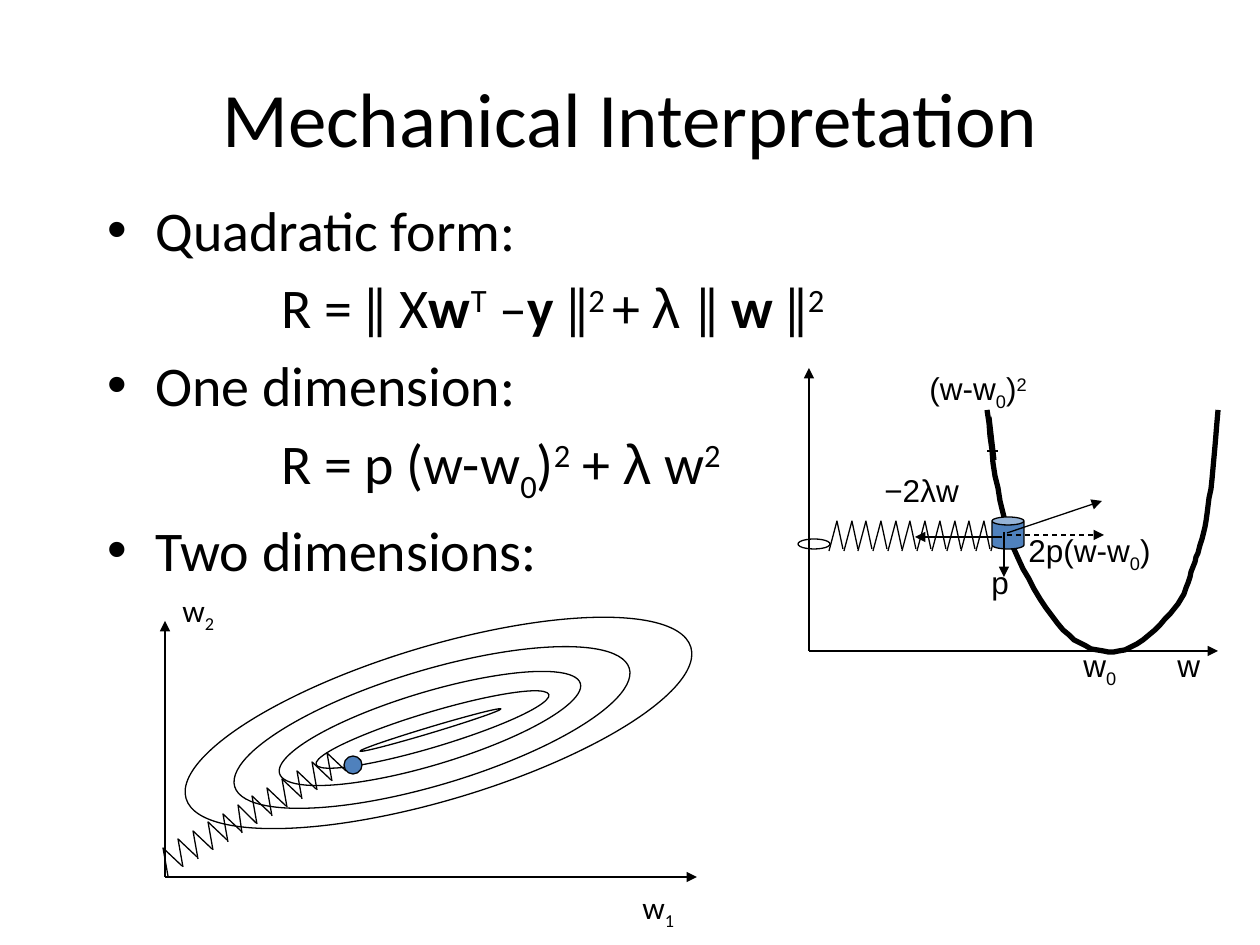
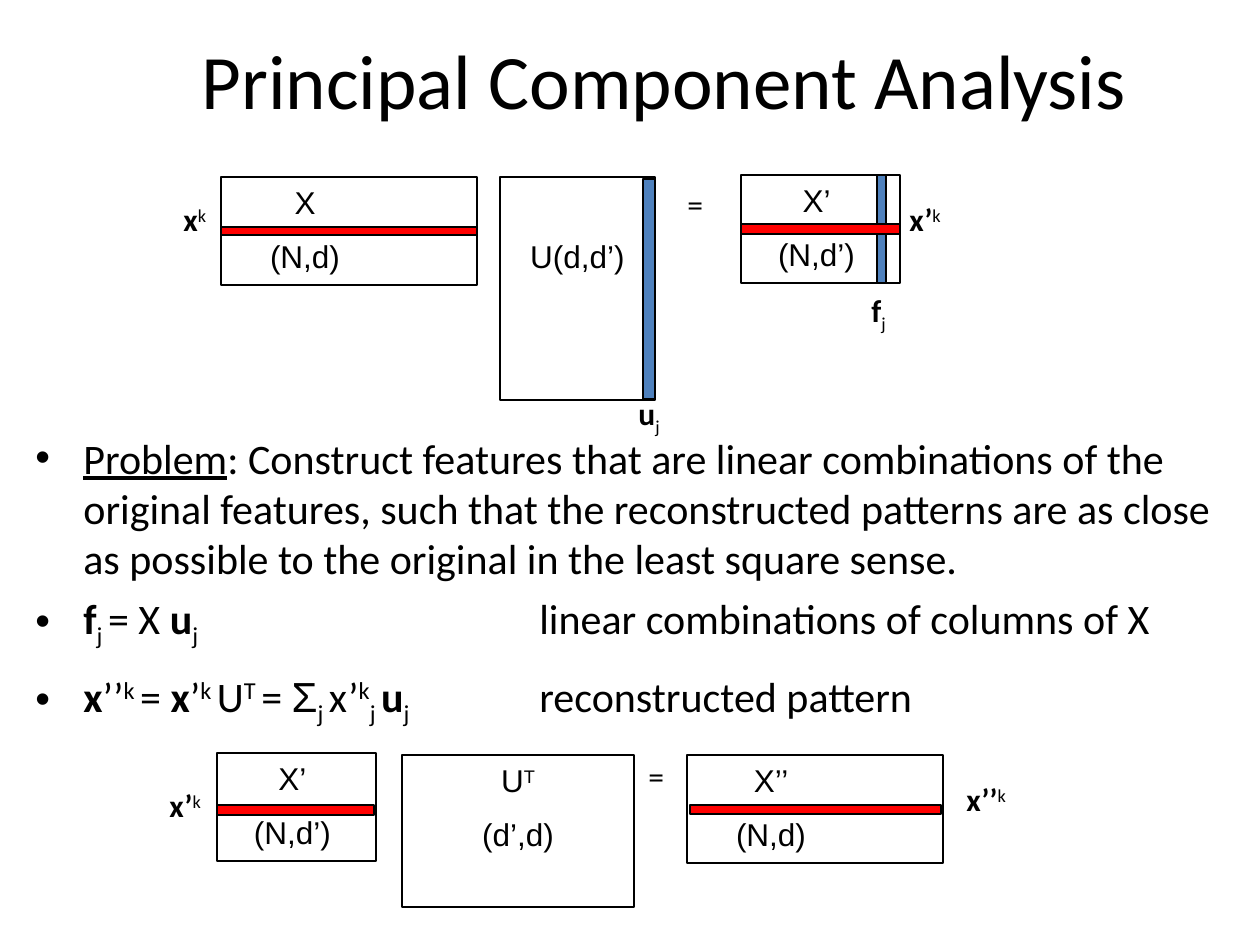
from lxml.etree import SubElement as Sub
from pptx import Presentation
from pptx.dml.color import RGBColor
from pptx.enum.dml import MSO_LINE as Dash
from pptx.enum.shapes import MSO_CONNECTOR as Link, MSO_SHAPE as Kind
from pptx.enum.text import MSO_ANCHOR as Anchor, PP_ALIGN as Align
from pptx.oxml.ns import qn
from pptx.util import Emu, Pt

SCALE = 914400 / 126
BLACK = RGBColor(0x00, 0x00, 0x00)
BLUE = RGBColor(0x4F, 0x81, 0xBD)
RED = RGBColor(0xFF, 0x00, 0x00)
SANS = "Arial"
MAIN = "Calibri"
HANG = 48
TILT = 343.3


def px(num):
    return Emu(round(num * SCALE))


def place(area):
    return [px(num) for num in area]


def write(para, text, face, size):
    for part in text.split("|"):
        mark = part[0] if part[0] in "*_^~@" else ""
        run = para.add_run()
        run.text = part[len(mark):]
        font = run.font
        font.name = SANS if mark == "@" else face
        font.size = Pt(size)
        font.color.rgb = BLACK
        font.bold = mark == "*"
        if mark == "~":
            font.underline = True
        if mark in ("_", "^"):
            font._element.set("baseline", "-25000" if mark == "_" else "30000")


def add_box(slide, area):
    frame = slide.shapes.add_textbox(*place(area)).text_frame
    frame.word_wrap = True
    return frame


def add_label(slide, area, text, face=MAIN):
    write(add_box(slide, area).paragraphs[0], text, face, 18)


def add_title(slide, area, text):
    frame = add_box(slide, area)
    frame.vertical_anchor = Anchor.MIDDLE
    para = frame.paragraphs[0]
    para.alignment = Align.CENTER
    write(para, text, MAIN, 44)


def add_body(slide, area, lines, size):
    frame = add_box(slide, area)
    for spot, (text, indent, gap) in enumerate(lines):
        para = frame.add_paragraph() if spot else frame.paragraphs[0]
        write(para, text, MAIN, size)
        if spot:
            para.space_before = Pt(gap)
        props = para._p.get_or_add_pPr()
        props.set("marL", str(px(indent or HANG)))
        if indent:
            continue
        props.set("indent", str(-px(HANG)))
        Sub(props, qn("a:buFont")).set("typeface", SANS)
        Sub(props, qn("a:buChar")).set("char", "•")
        if "\t" in text:
            tab = Sub(Sub(props, qn("a:tabLst")), qn("a:tab"))
            tab.set("pos", str(px(504)))
            tab.set("algn", "l")


def style(shape, fill=None, width=0.75):
    shape.shadow.inherit = False
    if fill is None:
        shape.fill.background()
    else:
        shape.fill.solid()
        shape.fill.fore_color.rgb = fill
    shape.line.color.rgb = BLACK
    shape.line.width = Pt(width)


def add_form(slide, kind, area, fill=None, turn=0):
    shape = slide.shapes.add_shape(kind, *place(area))
    style(shape, fill)
    shape.rotation = turn
    return shape


def add_block(slide, area, lines, shift=0, top=6):
    frame = add_form(slide, Kind.RECTANGLE, area).text_frame
    frame.word_wrap = True
    frame.vertical_anchor = Anchor.TOP
    frame.margin_top = px(top)
    for spot, text in enumerate(lines):
        para = frame.add_paragraph() if spot else frame.paragraphs[0]
        para.alignment = Align.CENTER
        write(para, text, SANS, 18)
        if spot:
            para.space_before = Pt(9)
        elif shift:
            para._p.get_or_add_pPr().set("marR", str(px(shift)))


def add_line(slide, ends, arrow=True, width=0.75, dash=None):
    line = slide.shapes.add_connector(Link.STRAIGHT, *place(ends))
    line.line.color.rgb = BLACK
    line.line.width = Pt(width)
    if dash:
        line.line.dash_style = dash
    props = line.element.spPr
    if arrow:
        Sub(props.find(qn("a:ln")), qn("a:tailEnd")).set("type", "triangle")
    Sub(props, qn("a:effectLst"))


def add_trace(slide, points, width=0.75):
    pen = slide.shapes.build_freeform(*points[0], scale=SCALE)
    pen.add_line_segments(points[1:], close=False)
    style(pen.convert_to_shape(), width=width)


def add_spring(slide, start, step, tooth):
    for turn in range(12):
        left, top = (a + turn * b for a, b in zip(start, step))
        add_trace(slide, [(left + x, top + y) for x, y in tooth])


def curve(points, count=10):
    out = [points[0]]
    for spot in range(0, len(points) - 1, 3):
        nodes = points[spot:spot + 4]
        for tick in range(1, count + 1):
            t = tick / count
            s = 1 - t
            parts = (s ** 3, 3 * s * s * t, 3 * s * t * t, t ** 3)
            out.append(tuple(sum(w * node[axis] for w, node in zip(parts, nodes))
                             for axis in (0, 1)))
    return out


def draw_rings(slide):
    add_line(slide, (165, 877, 165, 621))
    add_label(slide, (630, 882, 110, 63), "w|_1")
    add_label(slide, (170, 585, 78, 63), "w|_2")
    add_line(slide, (165, 877, 697, 877))
    for ring in ((175, 646, 527, 154), (226, 670, 412, 115), (273, 692, 314, 73),
                 (311, 712, 243, 35), (357, 727, 147, 6)):
        add_form(slide, Kind.OVAL, ring, turn=TILT)
    add_form(slide, Kind.OVAL, (344, 756, 18, 18), BLUE)
    add_spring(slide, (168, 876), (14.9, -8.6), ((0, 0), (-5, -28), (14, -10)))


def draw_well(slide):
    add_line(slide, (809, 651, 809, 368))
    add_line(slide, (809, 651, 1218, 651))
    add_trace(slide, curve([
        (987, 410), (992, 454), (997, 499), (1009, 536),
        (1022, 572), (1046, 611), (1063, 630),
        (1082, 649), (1101, 654), (1119, 651),
        (1138, 648), (1162, 625), (1174, 609),
        (1187, 593), (1191, 572), (1196, 557),
        (1202, 541), (1203, 539), (1207, 514),
        (1211, 490), (1215, 450), (1218, 410)]), 3)
    add_label(slide, (1071, 640, 116, 63), "w|_0", SANS)
    add_label(slide, (1165, 640, 95, 63), "w", SANS)
    add_form(slide, Kind.OVAL, (798, 539, 32, 10))
    add_spring(slide, (829, 551), (14.7, 0), ((0, 0), (8, -30), (14, -2)))
    add_form(slide, Kind.CAN, (992, 517, 32, 32), BLUE)
    add_line(slide, (998, 451, 987, 451), arrow=False)
    add_line(slide, (989, 417, 994, 460), arrow=False, width=3)
    add_line(slide, (1007, 533, 1102, 501))
    add_line(slide, (1004, 532, 1004, 577))
    add_label(slide, (917, 363, 159, 63), "(w-w|_0|)|^2", SANS)
    add_line(slide, (1007, 535, 1104, 535), dash=Dash.DASH)
    add_label(slide, (979, 557, 49, 63), "p", SANS)
    add_line(slide, (1002, 537, 915, 537))
    add_label(slide, (1016, 525, 244, 63), "2p(w-w|_0|)", SANS)


def draw_split(slide):
    add_block(slide, (221, 177, 256, 108), ("X", "(N,d)"), shift=88)
    add_block(slide, (500, 177, 155, 223), ("U(d,d’)",), top=60)
    add_label(slide, (675, 179, 100, 63), "=")
    add_block(slide, (741, 175, 159, 108), ("X’", "(N,d’)"), shift=8)
    add_form(slide, Kind.RECTANGLE, (877, 175, 9, 108), BLUE)
    add_label(slide, (859, 285, 92, 50), "*f|_j")
    add_form(slide, Kind.RECTANGLE, (643, 179, 12, 220), BLUE)
    add_label(slide, (626, 388, 92, 50), "*u|_j")
    add_form(slide, Kind.RECTANGLE, (221, 227, 256, 8), RED)
    add_label(slide, (171, 194, 92, 50), "*x|^k")
    add_form(slide, Kind.RECTANGLE, (741, 224, 159, 10), RED)
    add_label(slide, (897, 194, 92, 50), "*x’|^k")


def draw_merge(slide):
    add_block(slide, (687, 755, 256, 108), ("X’’", "(N,d)"), shift=88)
    add_block(slide, (402, 755, 232, 152), ("U|^T", "(d’,d)"))
    add_label(slide, (636, 751, 100, 63), "=")
    add_block(slide, (217, 753, 159, 108), ("X’", "(N,d’)"), shift=8)
    add_form(slide, Kind.RECTANGLE, (690, 805, 251, 9), RED)
    add_form(slide, Kind.RECTANGLE, (217, 805, 157, 10), RED)
    add_label(slide, (157, 780, 92, 50), "*x’|^k")
    add_label(slide, (954, 774, 92, 50), "*x’’|^k")


def main():
    deck = Presentation()
    deck.slide_width, deck.slide_height = px(1260), px(945)
    blank = deck.slide_layouts[6]

    slide = deck.slides.add_slide(blank)
    add_label(slide, (872, 465, 132, 63), "−2λw", SANS)
    add_title(slide, (63, 38, 1134, 158), "Mechanical Interpretation")
    add_body(slide, (95, 189, 1071, 567), (
        ("Quadratic form:", 0, 6),
        ("R = ǁ X|*w|^T| –|*y |ǁ|^2 |+ |@λ |ǁ |*w |ǁ|^2", 174, 6),
        ("One dimension:", 0, 6),
        ("R = p (w-w|_0|)|^2| + |@λ| w|^2", 174, 6),
        ("Two dimensions:", 0, 6)), 32)
    draw_rings(slide)
    draw_well(slide)

    slide = deck.slides.add_slide(blank)
    add_body(slide, (23, 426, 1237, 567), (
        ("~Problem|: Construct features that are linear combinations of the "
         "original features, such that the reconstructed patterns are as close "
         "as possible to the original in the least square sense.", 0, 5),
        ("*f|_j |= X |*u|_j|\tlinear combinations of columns of X", 0, 5),
        ("*x|’’|^k |= |*x|’|^k |U|^T |= |@Σ|_j |x’|^k|_j |*u|_j|"
         "\treconstructed pattern", 0, 12)), 24)
    add_title(slide, (105, 0, 1119, 158), "Principal Component Analysis")
    draw_split(slide)
    draw_merge(slide)

    deck.save("out.pptx")


if __name__ == "__main__":
    main()
